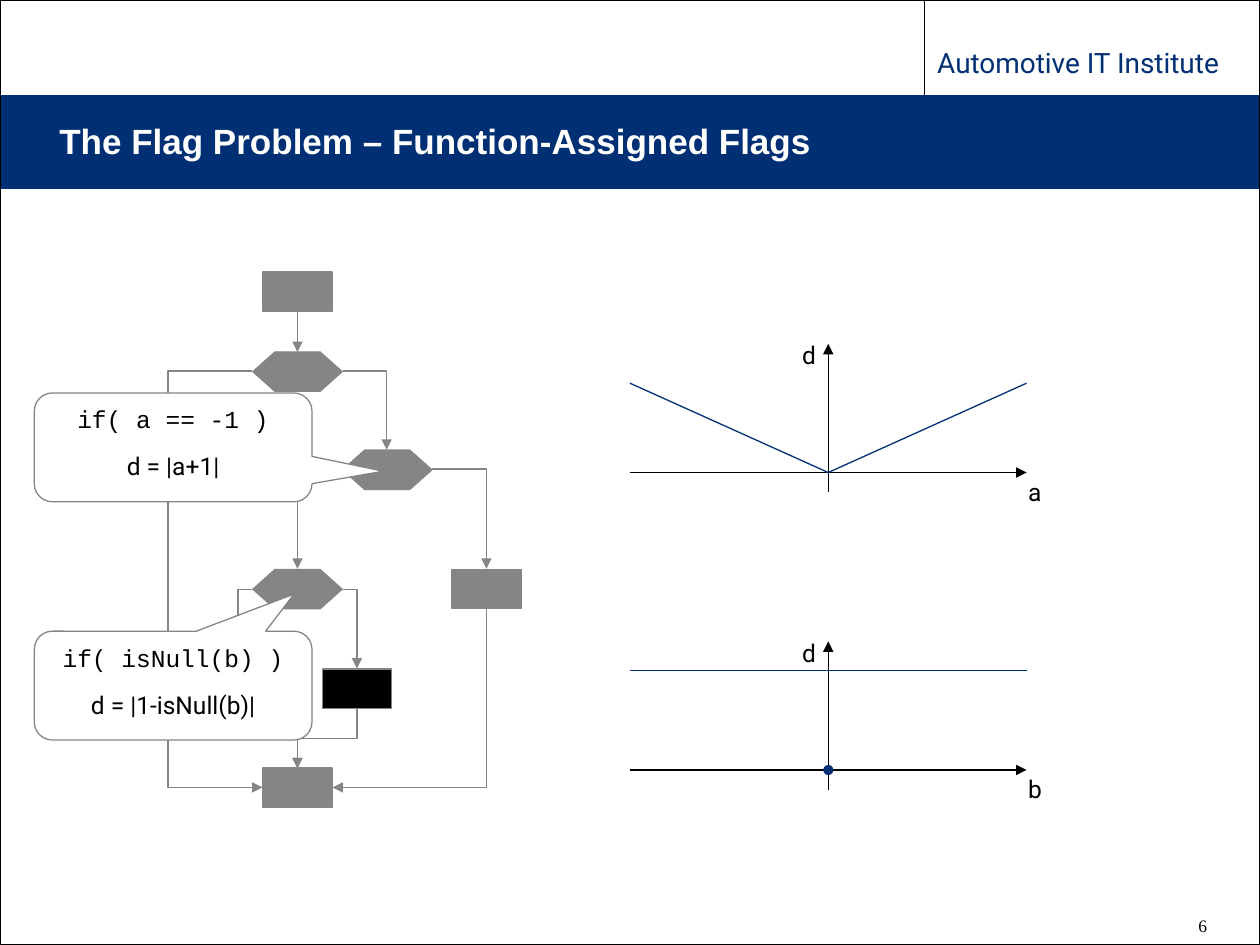
from lxml.etree import SubElement
from pptx import Presentation
from pptx.dml.color import RGBColor
from pptx.enum.shapes import MSO_CONNECTOR, MSO_SHAPE
from pptx.enum.text import MSO_ANCHOR, MSO_AUTO_SIZE, PP_ALIGN
from pptx.oxml.ns import qn
from pptx.util import Pt

NAVY = RGBColor(0x00, 0x30, 0x73)
GRAY = RGBColor(0x84, 0x86, 0x84)
BLACK = RGBColor(0, 0, 0)
WHITE = RGBColor(255, 255, 255)

presentation = Presentation()
presentation.slide_width, presentation.slide_height = Pt(720), Pt(540)
slide = presentation.slides.add_slide(presentation.slide_layouts[5])
shapes = slide.shapes


def style_line(line, color, width=0.75, arrow=False):
    line.color.rgb = color
    line.width = Pt(width)
    if arrow:
        SubElement(line._get_or_add_ln(), qn("a:tailEnd"), type="triangle")


def style_text(paragraph, font_name, size, color, space_before=10):
    paragraph.space_before = Pt(space_before)
    for run in paragraph.runs:
        run.font.name = font_name
        run.font.size = Pt(size)
        run.font.color.rgb = color


# Header band and slide frame
band = shapes.add_shape(MSO_SHAPE.RECTANGLE, 0, Pt(54), Pt(720), Pt(54.5))
band.shadow.inherit = False
band.fill.solid()
band.fill.fore_color.rgb = NAVY
style_line(band.line, WHITE)
frame = shapes.add_shape(MSO_SHAPE.RECTANGLE, 0, 0, Pt(720), Pt(540))
frame.shadow.inherit = False
frame.fill.background()
style_line(frame.line, BLACK, 0.5)

# Title, brought in front of the band
title = shapes.title
title.left, title.top, title.width, title.height = Pt(19.5), Pt(54.5), Pt(581), Pt(54)
title.element.getparent().append(title.element)
text_frame = title.text_frame
text_frame.text = "The Flag Problem – Function-Assigned Flags"
text_frame.vertical_anchor = MSO_ANCHOR.MIDDLE
text_frame.auto_size = MSO_AUTO_SIZE.NONE
text_frame.margin_left, text_frame.margin_right = Pt(14.4), Pt(28)
text_frame.margin_top = text_frame.margin_bottom = 0
paragraph = text_frame.paragraphs[0]
paragraph.alignment = PP_ALIGN.LEFT
paragraph.line_spacing = Pt(21.5)
style_text(paragraph, "Arial", 20, WHITE, 0)
paragraph.runs[0].font.bold = True

# Flowchart nodes: centre x, centre y, fill
ROWS = [166.7, 212.4, 268.5, 336.7, 393.5, 450.2]
MAIN, OUTER_LEFT, INNER_LEFT, INNER_RIGHT, SECOND, OUTER_RIGHT = 170, 96.5, 136, 204, 221.3, 278
boxes = [
    (MAIN, ROWS[0], GRAY), (OUTER_LEFT, ROWS[2], GRAY), (OUTER_RIGHT, ROWS[3], GRAY),
    (INNER_LEFT, ROWS[4], GRAY), (INNER_RIGHT, ROWS[4], BLACK), (MAIN, ROWS[5], GRAY),
]
decisions = [(MAIN, ROWS[1], GRAY), (SECOND, ROWS[2], GRAY), (MAIN, ROWS[3], GRAY)]
for kind, width, nodes in (
    (MSO_SHAPE.RECTANGLE, 39.6, boxes),
    (MSO_SHAPE.HEXAGON, 51, decisions),
):
    for x, y, color in nodes:
        node = shapes.add_shape(kind, Pt(x - width / 2), Pt(y - 11.25), Pt(width), Pt(22.5))
        node.shadow.inherit = False
        node.fill.solid()
        node.fill.fore_color.rgb = color
        style_line(node.line, GRAY)
        if kind == MSO_SHAPE.HEXAGON:
            node.adjustments[0] = 0.56

# Bent flow arrows
HALF_BOX, HALF_HEX, HALF_HEIGHT = 19.8, 25.5, 11.25
JOIN_Y = (ROWS[4] + ROWS[5]) / 2
END_TOP = ROWS[5] - HALF_HEIGHT
routes = [
    [(OUTER_LEFT, ROWS[2] + HALF_HEIGHT), (OUTER_LEFT, ROWS[5]), (MAIN - HALF_BOX, ROWS[5])],
    [(OUTER_RIGHT, ROWS[3] + HALF_HEIGHT), (OUTER_RIGHT, ROWS[5]), (MAIN + HALF_BOX, ROWS[5])],
]
for x in (INNER_LEFT, INNER_RIGHT):
    routes.append([(x, ROWS[4] + HALF_HEIGHT), (x, JOIN_Y), (MAIN, JOIN_Y), (MAIN, END_TOP)])
for start_x, row, end_x in (
    (MAIN, 3, INNER_LEFT), (MAIN, 3, INNER_RIGHT), (SECOND, 2, OUTER_RIGHT),
    (SECOND, 2, MAIN), (MAIN, 1, OUTER_LEFT), (MAIN, 1, SECOND),
):
    side = HALF_HEX if end_x > start_x else -HALF_HEX
    routes.append([
        (start_x + side, ROWS[row]), (end_x, ROWS[row]), (end_x, ROWS[row + 1] - HALF_HEIGHT),
    ])
for start, *corners in routes:
    builder = shapes.build_freeform(*start, scale=Pt(1))
    builder.add_line_segments(corners, close=False)
    route = builder.convert_to_shape()
    route.shadow.inherit = False
    route.fill.background()
    style_line(route.line, GRAY, arrow=True)

# Straight lines: header divider, first flow arrow, axes and curves
lines = [
    (528.5, 0, 528.5, 54, BLACK, 0.5, False),
    (MAIN, ROWS[0] + HALF_HEIGHT, MAIN, ROWS[1] - HALF_HEIGHT, GRAY, 0.75, True),
]
LEFT, CENTER, RIGHT = 360, 473.3, 586.6
for axis_y in (270, 440):
    lines.append((LEFT, axis_y, RIGHT, axis_y, BLACK, 0.75, True))
    lines.append((CENTER, axis_y + 11.3, CENTER, axis_y - 73.5, BLACK, 0.75, True))
lines += [
    (LEFT, 219, CENTER, 270, NAVY, 0.75, False),
    (RIGHT, 219, CENTER, 270, NAVY, 0.75, False),
    (LEFT, 383.3, RIGHT, 383.3, NAVY, 0.75, False),
]
for x1, y1, x2, y2, color, width, arrow in lines:
    connector = shapes.add_connector(MSO_CONNECTOR.STRAIGHT, Pt(x1), Pt(y1), Pt(x2), Pt(y2))
    style_line(connector.line, color, width, arrow)
    SubElement(connector.element.spPr, qn("a:effectLst"))

# Isolated point on the lower graph
point = shapes.add_shape(MSO_SHAPE.OVAL, Pt(CENTER - 2.9), Pt(437.1), Pt(5.8), Pt(5.8))
point.shadow.inherit = False
point.fill.solid()
point.fill.fore_color.rgb = NAVY
point.line.fill.background()

# Callouts with condition and distance
for top, tip, condition, distance in (
    (224.6, (0.757, 0.219), "if( a == -1 )", "d = |a+1|"),
    (360.7, (0.435, -0.841), "if( isNull(b) )", "d = |1-isNull(b)|"),
):
    callout = shapes.add_shape(
        MSO_SHAPE.ROUNDED_RECTANGULAR_CALLOUT, Pt(19.6), Pt(top), Pt(158.7), Pt(62.2))
    callout.shadow.inherit = False
    callout.adjustments[0], callout.adjustments[1] = tip
    callout.fill.solid()
    callout.fill.fore_color.rgb = WHITE
    style_line(callout.line, GRAY)
    text_frame = callout.text_frame
    text_frame.word_wrap = True
    text_frame.vertical_anchor = MSO_ANCHOR.TOP
    text_frame.text = f"{condition}\n{distance}"
    for paragraph, font_name in zip(text_frame.paragraphs, ("Courier New", "Roboto")):
        paragraph.alignment = PP_ALIGN.CENTER
        style_text(paragraph, font_name, 14, BLACK)

# Institute name and axis labels
for text, left, top, width, height, size, color in (
    ("Automotive IT Institute", 528.5, 22.3, 187.2, 26.6, 16, NAVY),
    ("a", 580.5, 268.8, 22.5, 24.3, 14, BLACK),
    ("d", 451.3, 190.8, 22.8, 24.3, 14, BLACK),
    ("b", 580.5, 438.9, 22.8, 24.3, 14, BLACK),
    ("d", 451.3, 360.9, 22.8, 24.3, 14, BLACK),
):
    label = shapes.add_textbox(Pt(left), Pt(top), Pt(width), Pt(height))
    label.text_frame.text = text
    label.text_frame.word_wrap = False
    label.text_frame.auto_size = MSO_AUTO_SIZE.SHAPE_TO_FIT_TEXT
    style_text(label.text_frame.paragraphs[0], "Roboto", size, color)

# Slide number
number = shapes.add_textbox(Pt(536.4), Pt(519.8), Pt(153.4), Pt(20.2))
text_frame = number.text_frame
text_frame.text = "6"
text_frame.word_wrap = True
text_frame.vertical_anchor = MSO_ANCHOR.MIDDLE
text_frame.margin_left = text_frame.margin_right = 0
text_frame.margin_top = text_frame.margin_bottom = 0
paragraph = text_frame.paragraphs[0]
paragraph.alignment = PP_ALIGN.RIGHT
paragraph.line_spacing = 0.9
paragraph.space_after = Pt(6.2)
style_text(paragraph, "Times New Roman", 10, BLACK, 0)

presentation.save("out.pptx")
